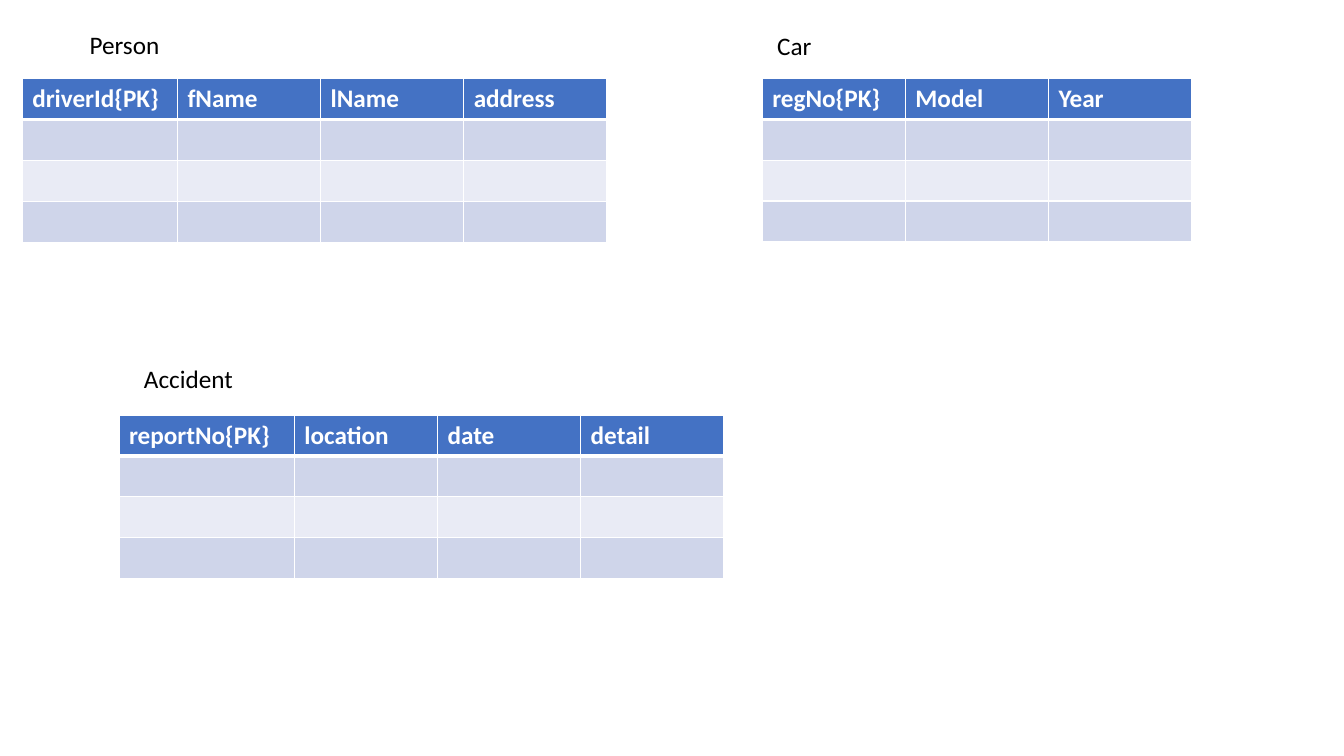
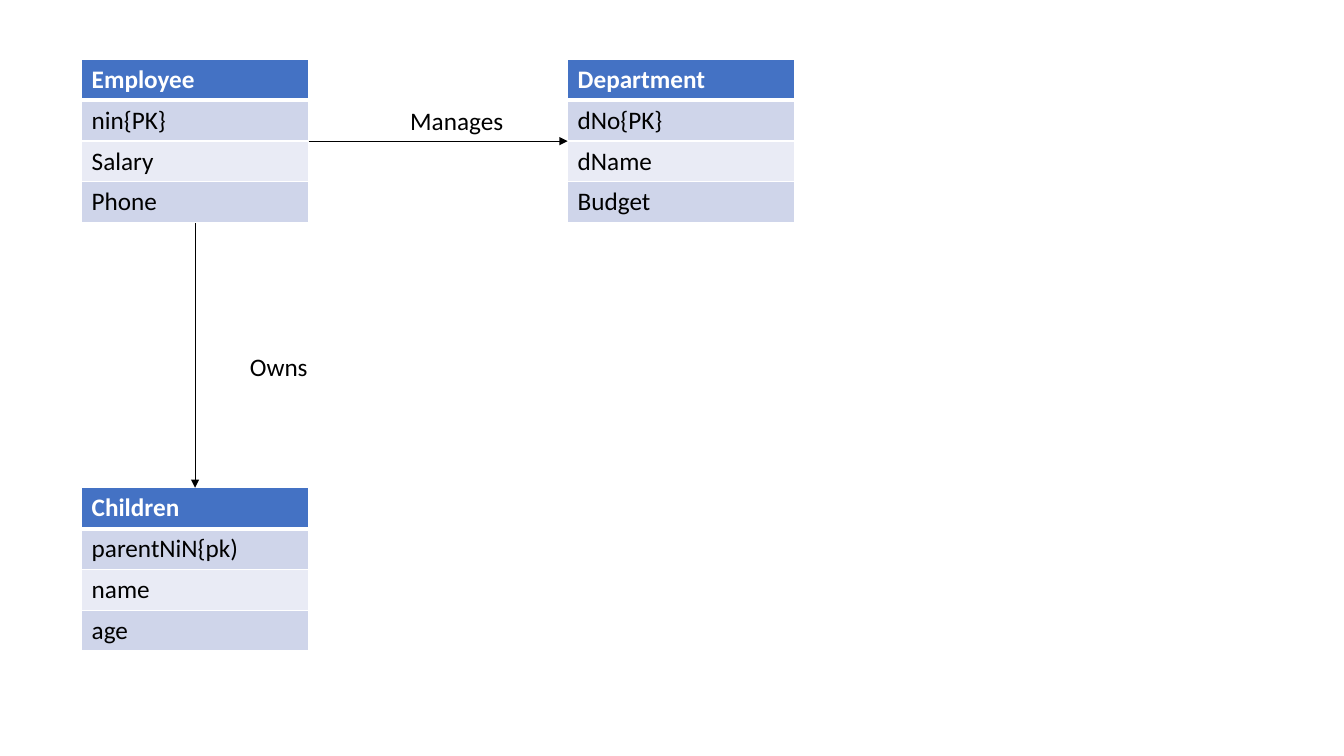
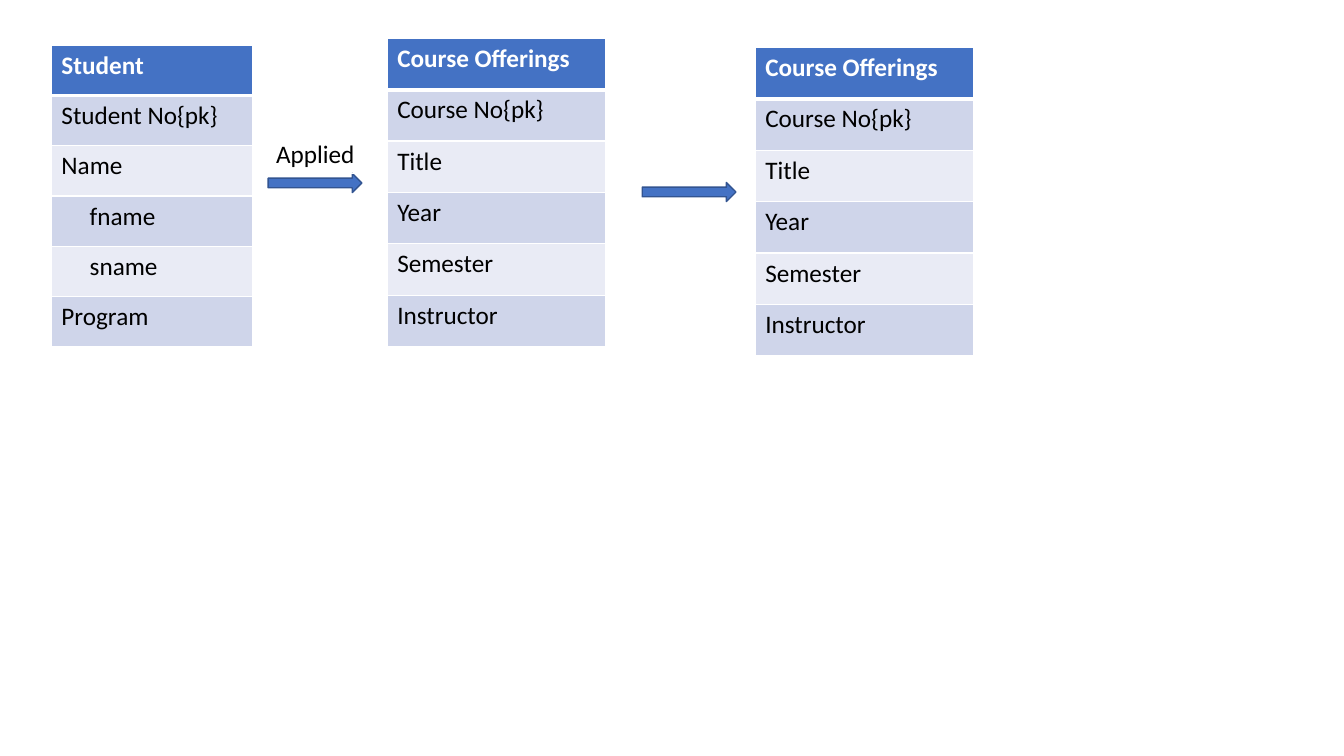
import dataclasses

import lxml.etree
import pptx
import pptx.dml.color
import pptx.enum.dml
import pptx.enum.shapes
import pptx.enum.text
import pptx.oxml.ns
import pptx.util

Inches = pptx.util.Inches
Pt = pptx.util.Pt
qn = pptx.oxml.ns.qn


@dataclasses.dataclass(frozen=True)
class Theme:
    header: str = "4472C4"
    band_dark: str = "CFD5EA"
    band_light: str = "E9EBF5"
    arrow_outline: str = "325491"
    white: str = "FFFFFF"
    black: str = "000000"
    font: str = "Calibri"
    text_size: float = 18
    grid_width: float = 1
    header_rule_width: float = 3
    connector_width: float = 0.5
    indent: float = 0.28
    cell_margin: float = 0.1


THEME = Theme()


def rgb(color):
    return pptx.dml.color.RGBColor.from_string(color)


def inches(*lengths):
    return [Inches(length) for length in lengths]


def write(text_frame, text, color=THEME.black, bold=False):
    """Put one left-aligned paragraph in the shared text style."""
    paragraph = text_frame.paragraphs[0]
    paragraph.text = text
    paragraph.alignment = pptx.enum.text.PP_ALIGN.LEFT
    formats = {"name": THEME.font, "size": Pt(THEME.text_size), "bold": bold}
    for attribute, value in formats.items():
        setattr(paragraph.font, attribute, value)
    paragraph.font.color.rgb = rgb(color)


def set_borders(cell, widths):
    """Draw white cell borders; widths maps each side to points."""
    properties = cell._tc.get_or_add_tcPr()
    for position, (side, width) in enumerate(widths.items()):
        line = lxml.etree.Element(qn(f"a:ln{side}"), w=str(Pt(width)))
        fill = lxml.etree.SubElement(line, qn("a:solidFill"))
        lxml.etree.SubElement(fill, qn("a:srgbClr"), val=THEME.white)
        properties.insert(position, line)


def add_banded_table(slide, box, rows, column_widths=None, indented=()):
    """Table with a header row and alternating bands, filling the box."""
    frame = slide.shapes.add_table(len(rows), len(rows[0]), *inches(*box))
    table = frame.table
    for column, width in zip(table.columns, column_widths or ()):
        column.width = Inches(width)
    for row_number, row in enumerate(rows):
        is_header = row_number == 0
        band = THEME.band_dark if row_number % 2 else THEME.band_light
        borders = dict.fromkeys("LRTB", THEME.grid_width)
        if row_number < 2:
            borders["B" if is_header else "T"] = THEME.header_rule_width
        for column_number, text in enumerate(row):
            cell = table.cell(row_number, column_number)
            cell.fill.solid()
            cell.fill.fore_color.rgb = rgb(THEME.header if is_header else band)
            set_borders(cell, borders)
            write(cell.text_frame, text,
                  THEME.white if is_header else THEME.black, is_header)
            if text in indented:
                cell.margin_left = Inches(THEME.cell_margin + THEME.indent)
    return frame


def add_relation(slide, box, headers, first_width, name, name_box):
    """Named relation: a header of attributes over three empty rows."""
    column_widths = [first_width] + [1.42] * (len(headers) - 1)
    rows = [headers] + [[""] * len(headers)] * 3
    add_banded_table(slide, (*box, sum(column_widths), 1.62), rows, column_widths)
    add_label(slide, name_box, name)


def add_entity(slide, box, names, indented=()):
    """Entity: its name over a single column of attributes."""
    return add_banded_table(slide, box, [[name] for name in names],
                            indented=indented)


def format_label(shape, text):
    frame = shape.text_frame
    formats = {
        "word_wrap": True,
        "auto_size": pptx.enum.text.MSO_AUTO_SIZE.SHAPE_TO_FIT_TEXT,
        "vertical_anchor": pptx.enum.text.MSO_ANCHOR.TOP,
    }
    for attribute, value in formats.items():
        setattr(frame, attribute, value)
    write(frame, text)


def add_label(slide, box, text):
    format_label(slide.shapes.add_textbox(*inches(*box)), text)


def add_outlined_label(slide, box, text):
    shape = slide.shapes.add_shape(
        pptx.enum.shapes.MSO_SHAPE.RECTANGLE, *inches(*box))
    shape.shadow.inherit = False
    shape.fill.background()
    shape.line.color.rgb = rgb(THEME.white)
    shape.line.width = Pt(0.75)
    format_label(shape, text)


def add_link(slide, source, source_side, target, target_side):
    """Thin arrow joining the middles of two table sides."""
    connector = slide.shapes.add_connector(
        pptx.enum.shapes.MSO_CONNECTOR.STRAIGHT, 0, 0, 0, 0)
    connector.begin_connect(source, source_side)
    connector.end_connect(target, target_side)
    connector.line.color.rgb = rgb(THEME.black)
    connector.line.width = Pt(THEME.connector_width)
    lxml.etree.SubElement(
        connector.line._get_or_add_ln(), qn("a:tailEnd"), type="triangle")
    lxml.etree.SubElement(connector._element.spPr, qn("a:effectLst"))


def add_block_arrow(slide, left, top):
    arrow = slide.shapes.add_shape(
        pptx.enum.shapes.MSO_SHAPE.RIGHT_ARROW, *inches(left, top, 0.93, 0.19))
    arrow.shadow.inherit = False
    arrow.fill.solid()
    arrow.fill.fore_color.rgb = rgb(THEME.header)
    arrow.line.color.rgb = rgb(THEME.arrow_outline)
    arrow.line.width = Pt(1)


def build_accident_slide(slide):
    relations = [
        ((0.22, 0.78), ["driverId{PK}", "fName", "lName", "address"], 1.54,
         "Person", (0.79, 0.24)),
        ((7.56, 0.78), ["regNo{PK}", "Model", "Year"], 1.42,
         "Car", (7.61, 0.25)),
        ((1.18, 4.12), ["reportNo{PK}", "location", "date", "detail"], 1.74,
         "Accident", (1.33, 3.56)),
    ]
    for box, headers, first_width, name, corner in relations:
        add_relation(slide, box, headers, first_width, name, (*corner, 1.57, 0.4))


def build_employee_slide(slide):
    size = (2.25, 1.62)
    # Entities
    employee = add_entity(slide, (0.81, 0.59, *size),
                          ["Employee", "nin{PK}", "Salary", "Phone"])
    department = add_entity(slide, (5.63, 0.59, *size),
                            ["Department", "dNo{PK}", "dName", "Budget"])
    children = add_entity(slide, (0.81, 4.84, *size),
                          ["Children", "parentNiN{pk)", "name", "age"])
    # Relationships
    add_link(slide, employee, 3, department, 1)
    add_link(slide, employee, 2, children, 0)
    add_label(slide, (2.38, 3.44, 1.51, 0.4), "Owns")
    add_label(slide, (3.97, 1, 1.51, 0.4), "Manages")


def build_student_slide(slide):
    # Entities
    add_entity(slide, (0.51, 0.45, 2, 2.99),
               ["Student", "Student No{pk}", "Name", "fname", "sname", "Program"],
               indented=("fname", "sname"))
    offering = ["Course Offerings", "Course No{pk}", "Title", "Year",
                "Semester", "Instructor"]
    for left, top in ((3.84, 0.38), (7.49, 0.47)):
        add_entity(slide, (left, top, 2.17, 3.06), offering)
    # Relationships
    for left, top in ((2.66, 1.72), (6.37, 1.81)):
        add_block_arrow(slide, left, top)
    add_outlined_label(slide, (2.64, 1.32, 1.08, 0.4), "Applied")


def main():
    presentation = pptx.Presentation()
    presentation.slide_width = Inches(13.33)
    presentation.slide_height = Inches(7.5)
    blank_layout = presentation.slide_layouts[6]
    for build in (build_accident_slide, build_employee_slide, build_student_slide):
        build(presentation.slides.add_slide(blank_layout))
    presentation.save("out.pptx")


if __name__ == "__main__":
    main()
